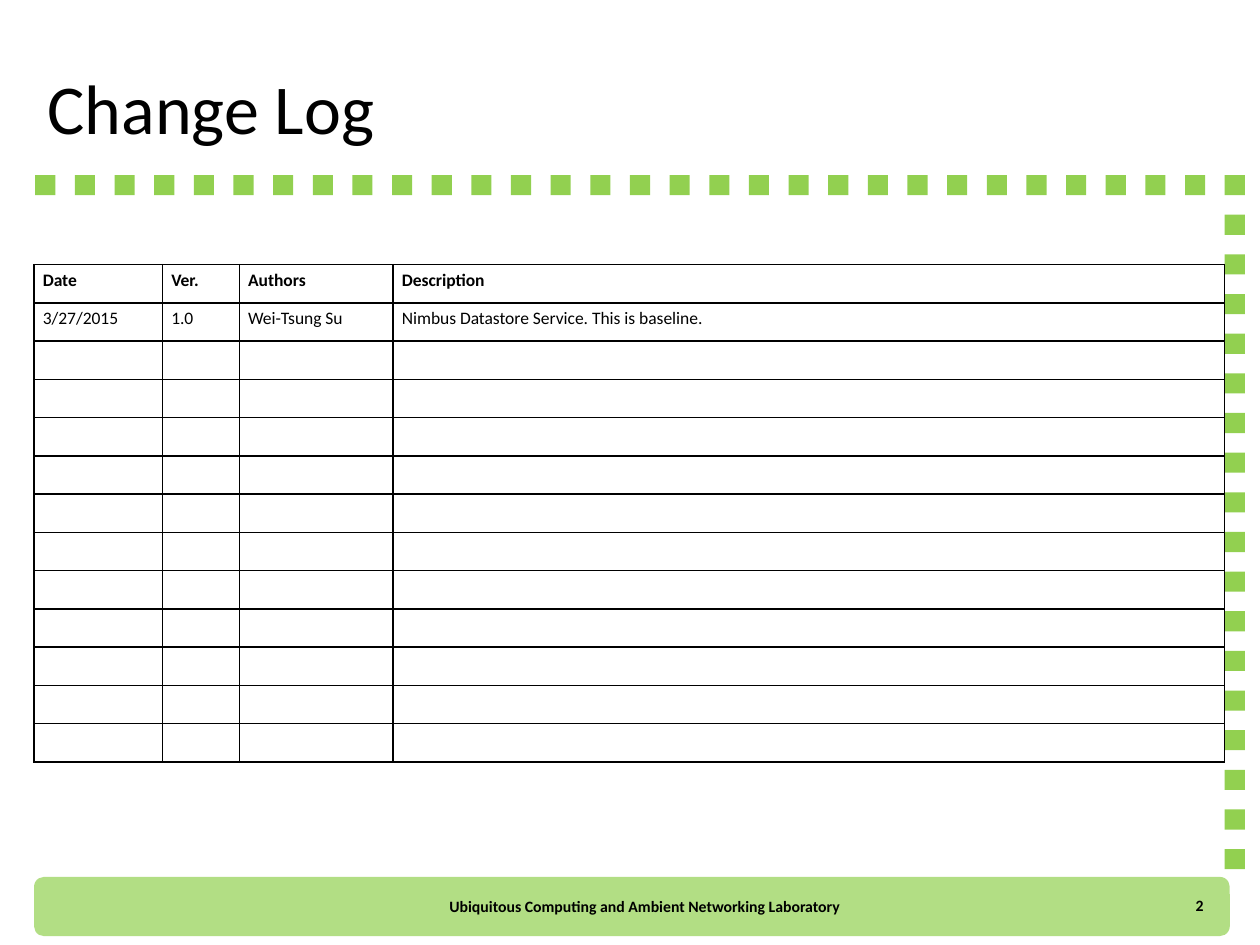
from lxml import etree
from pptx import Presentation
from pptx.dml.color import RGBColor
from pptx.enum.shapes import MSO_SHAPE
from pptx.enum.text import MSO_ANCHOR, PP_ALIGN
from pptx.oxml.ns import qn
from pptx.util import Inches, Pt

RECTANGLE, ROUNDED = MSO_SHAPE.RECTANGLE, MSO_SHAPE.ROUNDED_RECTANGLE
MIDDLE = MSO_ANCHOR.MIDDLE
LEFT, CENTER, RIGHT = PP_ALIGN.LEFT, PP_ALIGN.CENTER, PP_ALIGN.RIGHT

FONT, BLACK, GREEN = "Calibri", "000000", "92D050"

TITLE = "Change Log"
FOOTER = "Ubiquitous Computing and Ambient Networking Laboratory"
PAGE_NUMBER = "2"
HEADER = ("Date", "Ver.", "Authors", "Description")
ENTRIES = [("3/27/2015", "1.0", "Wei-Tsung Su",
            "Nimbus Datastore Service. This is baseline.")]
EMPTY_ROWS = 11

COLUMN_WIDTHS = (1.02, 0.61, 1.22, 6.6)
TABLE_LEFT, TABLE_TOP, TABLE_HEIGHT = 0.27, 2.1, 3.95
TABLE_TEXT_SIZE = 10

SQUARE = 0.16
SQUARES_ACROSS, SQUARES_DOWN = 31, 18
SQUARES_LEFT, SQUARES_RIGHT, SQUARES_TOP = 0.28, 9.72, 1.39
SQUARE_STEP = (SQUARES_RIGHT - SQUARES_LEFT) / (SQUARES_ACROSS - 1)


def color(value):
    """Turn a hex string into a colour."""
    return RGBColor.from_string(value)


def write(frame, text, size, bold=False, align=LEFT):
    """Put one formatted line of text into a text frame."""
    para = frame.paragraphs[0]
    para.alignment = align
    span = para.add_run()
    span.text = text
    span.font.name = FONT
    span.font.size = Pt(size)
    span.font.bold = bold
    span.font.color.rgb = color(BLACK)


def add_text(page, text, left, top, width, height, **style):
    """Add a wrapped, vertically centred text box."""
    box = page.shapes.add_textbox(
        Inches(left), Inches(top), Inches(width), Inches(height))
    box.text_frame.word_wrap = True
    box.text_frame.vertical_anchor = MIDDLE
    write(box.text_frame, text, **style)


def add_block(page, kind, left, top, width, height, opacity=100):
    """Add a green shape without outline."""
    block = page.shapes.add_shape(
        kind, Inches(left), Inches(top), Inches(width), Inches(height))
    block.shadow.inherit = False
    block.line.fill.background()
    block.fill.solid()
    block.fill.fore_color.rgb = color(GREEN)
    if opacity < 100:
        tint = block.fill._xPr.find(".//" + qn("a:srgbClr"))
        etree.SubElement(tint, qn("a:alpha"), val=str(opacity * 1000))


def add_squares(page):
    """Draw the row of squares and the column below its right end."""
    across = [(SQUARES_LEFT + i * SQUARE_STEP, SQUARES_TOP)
              for i in range(SQUARES_ACROSS)]
    down = [(SQUARES_RIGHT, SQUARES_TOP + i * SQUARE_STEP)
            for i in range(1, SQUARES_DOWN)]
    for left, top in across + down:
        add_block(page, RECTANGLE, left, top, SQUARE, SQUARE)


def add_borders(cell):
    """Give a cell a thin black line on every side."""
    properties = cell._tc.get_or_add_tcPr()
    for side in ("a:lnL", "a:lnR", "a:lnT", "a:lnB"):
        line = etree.SubElement(properties, qn(side), w=str(Pt(1)))
        fill = etree.SubElement(line, qn("a:solidFill"))
        etree.SubElement(fill, qn("a:srgbClr"), val=BLACK)


def fill_cell(cell, text, bold):
    """Format one table cell and write its text."""
    add_borders(cell)
    cell.fill.background()
    cell.margin_left = cell.margin_right = Inches(0.07)
    cell.margin_top = cell.margin_bottom = Inches(0.04)
    if text:
        write(cell.text_frame, text, TABLE_TEXT_SIZE, bold)
    else:
        etree.SubElement(cell.text_frame.paragraphs[0]._p,
                         qn("a:endParaRPr"), sz=str(TABLE_TEXT_SIZE * 100))


def add_log(page):
    """Add the change log table."""
    rows = [HEADER, *ENTRIES] + [("",) * len(HEADER)] * EMPTY_ROWS
    table = page.shapes.add_table(
        len(rows), len(HEADER), Inches(TABLE_LEFT), Inches(TABLE_TOP),
        Inches(sum(COLUMN_WIDTHS)), Inches(TABLE_HEIGHT)).table
    table.first_row = table.horz_banding = False
    for column, width in zip(table.columns, COLUMN_WIDTHS):
        column.width = Inches(width)
    for r, texts in enumerate(rows):
        for c, text in enumerate(texts):
            fill_cell(table.cell(r, c), text, bold=r == 0)


deck = Presentation()
deck.slide_width, deck.slide_height = Inches(10), Inches(7.5)
page = deck.slides.add_slide(deck.slide_layouts[6])

add_block(page, ROUNDED, 0.27, 6.96, 9.49, 0.47, opacity=70)
add_squares(page)
add_text(page, TITLE, 0.28, 0.3, 7.87, 1.09, size=40)
add_log(page)
add_text(page, FOOTER, 1.61, 6.99, 7.01, 0.4, size=9, bold=True, align=CENTER)
add_text(page, PAGE_NUMBER, 8.78, 6.99, 0.87, 0.39,
         size=9, bold=True, align=RIGHT)

deck.save("out.pptx")
